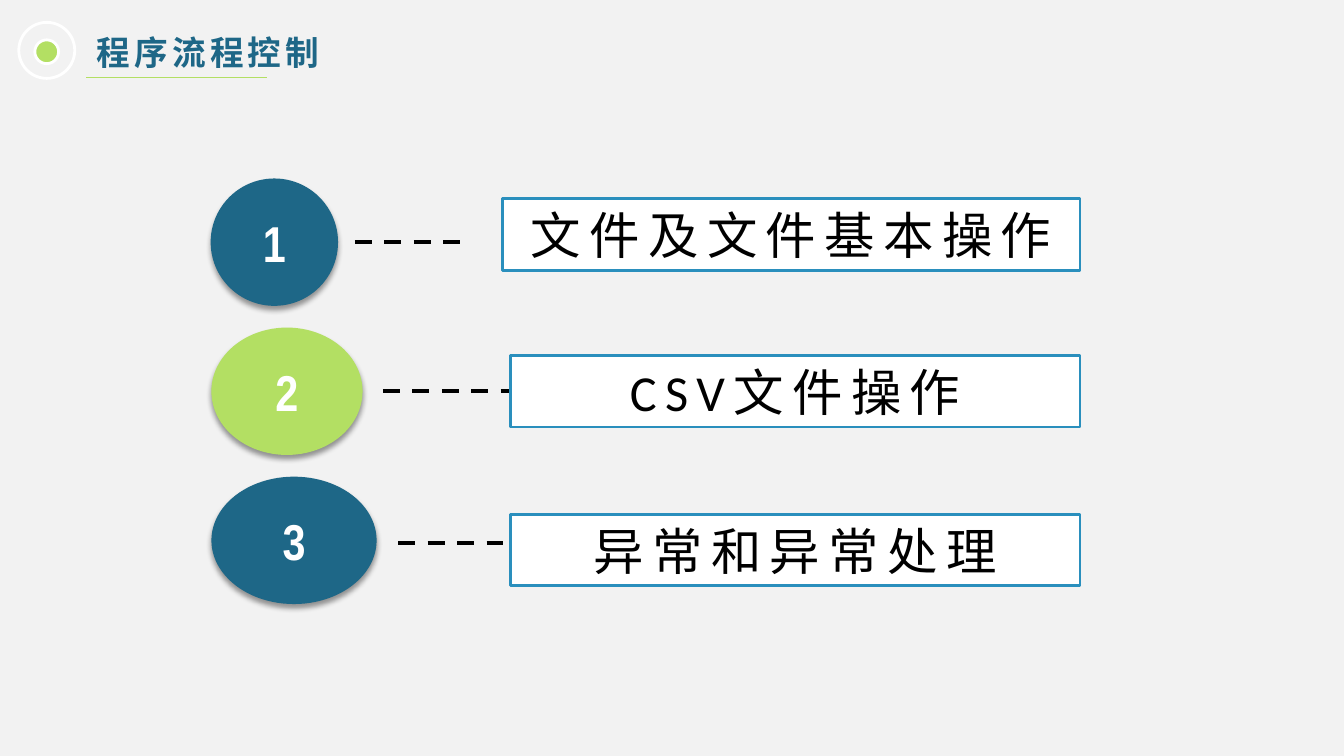
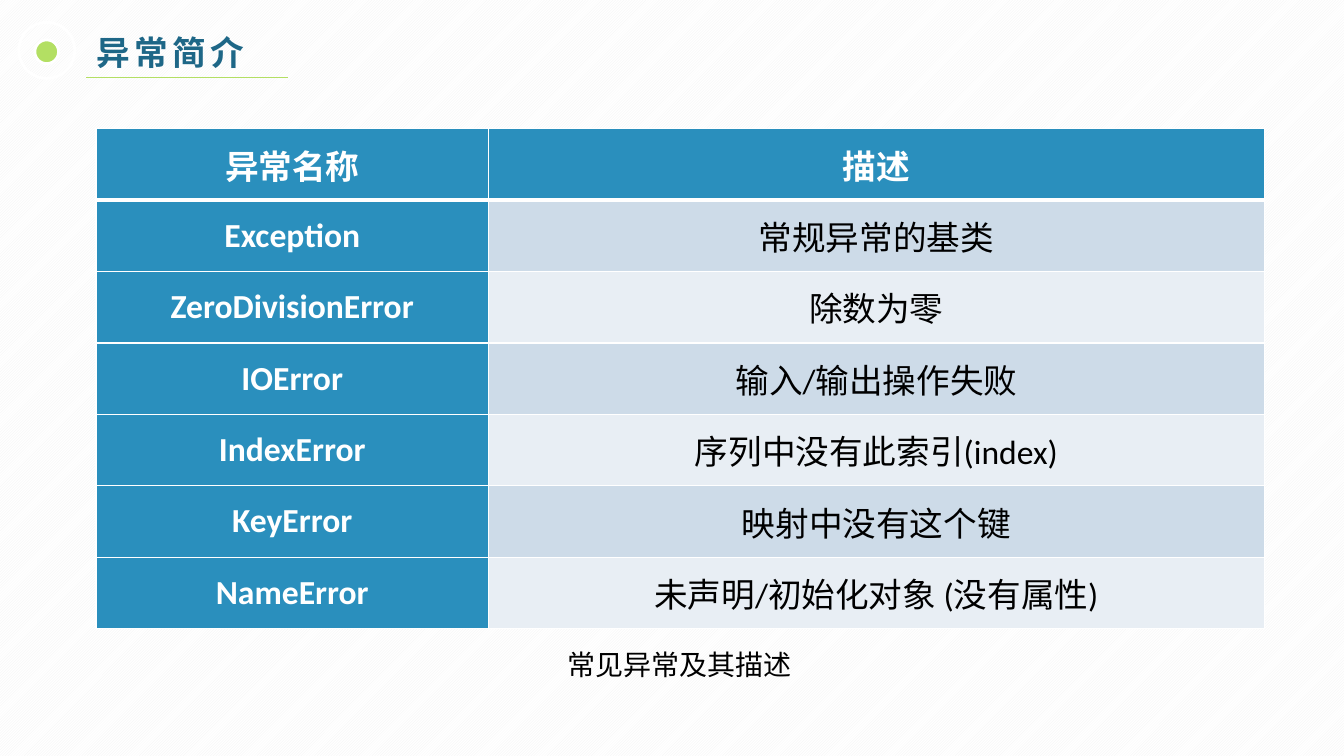
from lxml.etree import SubElement
from pptx import Presentation
from pptx.dml.color import RGBColor as RGB
from pptx.enum.dml import MSO_LINE, MSO_PATTERN
from pptx.enum.shapes import MSO_CONNECTOR, MSO_SHAPE
from pptx.enum.text import MSO_ANCHOR, PP_ALIGN
from pptx.oxml.ns import qn
from pptx.util import Pt

COLORS = {
    "navy": "1E6787", "blue": "2A8FBD", "green": "B3DF63", "white": "FFFFFF",
    "black": "000000", "paper": "F2F2F2", "band": "CDDBE8", "pale": "E8EEF4",
}
CJK = "Noto Sans CJK SC"
TITLE = {"font": {"name": CJK, "size": Pt(24), "bold": True}, "color": "navy", "spacing": 3}
NUMBER = {"font": {"name": "Arial Narrow", "size": Pt(36), "bold": True}, "color": "white"}
TOPIC = {"font": {"name": "Calibri", "size": Pt(36)}, "color": "black", "spacing": 6}
LABEL = {"font": {"name": "Calibri", "size": Pt(24), "bold": True}, "color": "white"}
BODY = {"font": {"name": "Calibri", "size": Pt(24), "bold": False}, "color": "black"}
CAPTION = {"font": {"name": CJK, "size": Pt(20)}, "color": "black"}

ROW_H = 51
TOPICS = [
    {"text": "文件及文件基本操作", "fill": "navy", "oval": (150.5, 127.5, 91),
     "dash": (253.5, 332.5, 172.8), "box": (359, 142, 412.5)},
    {"text": "CSV文件操作", "fill": "green", "oval": (151, 234, 108),
     "dash": (273.5, 368, 279.5), "box": (364.5, 254, 407)},
    {"text": "异常和异常处理", "fill": "navy", "oval": (151, 340.5, 118),
     "dash": (284.5, 388, 388), "box": (364.5, 367.5, 407)},
]
ERRORS = [
    ("异常名称", "描述"),
    ("Exception", "常规异常的基类"),
    ("ZeroDivisionError", "除数为零"),
    ("IOError", "输入/输出操作失败"),
    ("IndexError", "序列中没有此索引(index)"),
    ("KeyError", "映射中没有这个键"),
    ("NameError", "未声明/初始化对象 (没有属性)"),
]


def rgb(name):
    """Return the named colour."""
    return RGB.from_string(COLORS[name])


def write(tf, text, style, align=PP_ALIGN.CENTER):
    """Put one styled line of text into a text frame."""
    p = tf.paragraphs[0]
    p.alignment = align
    r = p.add_run()
    r.text = text
    for key, value in style["font"].items():
        setattr(r.font, key, value)
    r.font.color.rgb = rgb(style["color"])
    rPr = r.font._element
    if "spacing" in style:
        rPr.set("spc", str(style["spacing"] * 100))
    SubElement(rPr, qn("a:ea")).set("typeface", CJK)


def add_sp(slide, kind, box, fill=None, line=None):
    """Add a flat preset shape with an optional fill and outline."""
    sp = slide.shapes.add_shape(kind, *map(Pt, box))
    sp.shadow.inherit = False
    if fill:
        sp.fill.solid()
        sp.fill.fore_color.rgb = rgb(fill)
    else:
        sp.fill.background()
    if line:
        sp.line.color.rgb = rgb(line)
        sp.line.width = Pt(2)
    else:
        sp.line.fill.background()
    sp.text_frame.vertical_anchor = MSO_ANCHOR.MIDDLE
    return sp


def add_line(slide, x1, x2, y, color, width, dash=None):
    """Add a flat horizontal line."""
    ln = slide.shapes.add_connector(MSO_CONNECTOR.STRAIGHT, Pt(x1), Pt(y), Pt(x2), Pt(y))
    ln.line.color.rgb = rgb(color)
    ln.line.width = Pt(width)
    if dash:
        ln.line.dash_style = dash
    SubElement(ln._element.spPr, qn("a:effectLst"))


def add_shadow(sp):
    """Give a shape a soft shadow below it."""
    effects = sp._element.spPr.find(qn("a:effectLst"))
    shadow = SubElement(effects, qn("a:outerShdw"), blurRad=str(Pt(4)), dist=str(Pt(3)),
                        dir="5400000", algn="t", rotWithShape="0")
    color = SubElement(shadow, qn("a:srgbClr"), val=COLORS["black"])
    SubElement(color, qn("a:alpha"), val="40000")


def add_header(slide, text, title_w, rule_w):
    """Place the title, the round marker and the rule under the title."""
    title = slide.shapes.title
    frame = {"left": 62, "top": 19.5, "width": title_w, "height": 36}
    for key, value in frame.items():
        setattr(title, key, Pt(value))
    tf = title.text_frame
    tf.vertical_anchor = MSO_ANCHOR.MIDDLE
    write(tf, text, TITLE, PP_ALIGN.LEFT)
    cx, cy = 33.4, 36
    for d, fill in ((17, "green"), (40, None)):
        y = cy + (1 if fill else 0) - d / 2
        add_sp(slide, MSO_SHAPE.OVAL, (cx - d / 2, y, d, d), fill, "white")
    add_line(slide, 61.5, 61.5 + rule_w, 55.5, "green", 0.75)


def add_topic(slide, number, topic):
    """Place a numbered oval, a dashed lead and a boxed topic."""
    oval = add_sp(slide, MSO_SHAPE.OVAL, (*topic["oval"], 91), topic["fill"])
    add_shadow(oval)
    write(oval.text_frame, str(number), NUMBER)
    add_line(slide, *topic["dash"], "black", 3, MSO_LINE.DASH)
    box = add_sp(slide, MSO_SHAPE.RECTANGLE, (*topic["box"], 51), "white", "blue")
    write(box.text_frame, topic["text"], TOPIC)


def set_borders(cell, widths):
    """Draw white borders of the given widths on a cell."""
    tcPr = cell._tc.get_or_add_tcPr()
    for i, (side, width) in enumerate(widths.items()):
        ln = tcPr.makeelement(qn(f"a:ln{side}"), {"w": str(Pt(width))})
        fill = SubElement(ln, qn("a:solidFill"))
        SubElement(fill, qn("a:srgbClr"), val=COLORS["white"])
        tcPr.insert(i, ln)


def add_error_table(slide, left, top, col_widths):
    """Place the table of exception names and descriptions."""
    size = (sum(col_widths), ROW_H * len(ERRORS))
    table = slide.shapes.add_table(len(ERRORS), 2, *map(Pt, (left, top, *size))).table
    for col, width in zip(table.columns, col_widths):
        col.width = Pt(width)
    margins = {"margin_left": 5, "margin_right": 5, "margin_top": 0, "margin_bottom": 0}
    for i, row in enumerate(ERRORS):
        for j, text in enumerate(row):
            cell = table.cell(i, j)
            label = i == 0 or j == 0
            cell.fill.solid()
            cell.fill.fore_color.rgb = rgb("blue" if label else "band" if i % 2 else "pale")
            cell.vertical_anchor = MSO_ANCHOR.MIDDLE
            for key, value in margins.items():
                setattr(cell, key, Pt(value))
            set_borders(cell, {"L": 1, "R": 1, "T": 3 if i == 1 else 1, "B": 1 if i else 3})
            write(cell.text_frame, text, LABEL if label else BODY)


def add_caption(slide, text, box):
    """Place a caption on one line."""
    tf = slide.shapes.add_textbox(*map(Pt, box)).text_frame
    tf.word_wrap = False
    tf.vertical_anchor = MSO_ANCHOR.MIDDLE
    write(tf, text, CAPTION)


def build_agenda(prs):
    """Build the slide that lists the topics."""
    slide = prs.slides.add_slide(prs.slide_layouts[5])
    fill = slide.background.fill
    fill.solid()
    fill.fore_color.rgb = rgb("paper")
    add_header(slide, "程序流程控制", 492, 129.5)
    for number, topic in enumerate(TOPICS, 1):
        add_topic(slide, number, topic)


def build_errors(prs):
    """Build the slide with the table of exceptions."""
    slide = prs.slides.add_slide(prs.slide_layouts[5])
    fill = slide.background.fill
    fill.patterned()
    fill.pattern = MSO_PATTERN.LIGHT_UPWARD_DIAGONAL
    fill.fore_color.rgb = rgb("paper")
    fill.back_color.rgb = rgb("white")
    add_header(slide, "异常简介", 464, 144)
    add_error_table(slide, 68.5, 92, (280.5, 554))
    add_caption(slide, "常见异常及其描述", (397.5, 458.5, 176, 31.5))


def main():
    """Build and save the presentation."""
    prs = Presentation()
    prs.slide_width, prs.slide_height = Pt(960), Pt(540)
    build_agenda(prs)
    build_errors(prs)
    prs.save("out.pptx")


if __name__ == "__main__":
    main()
